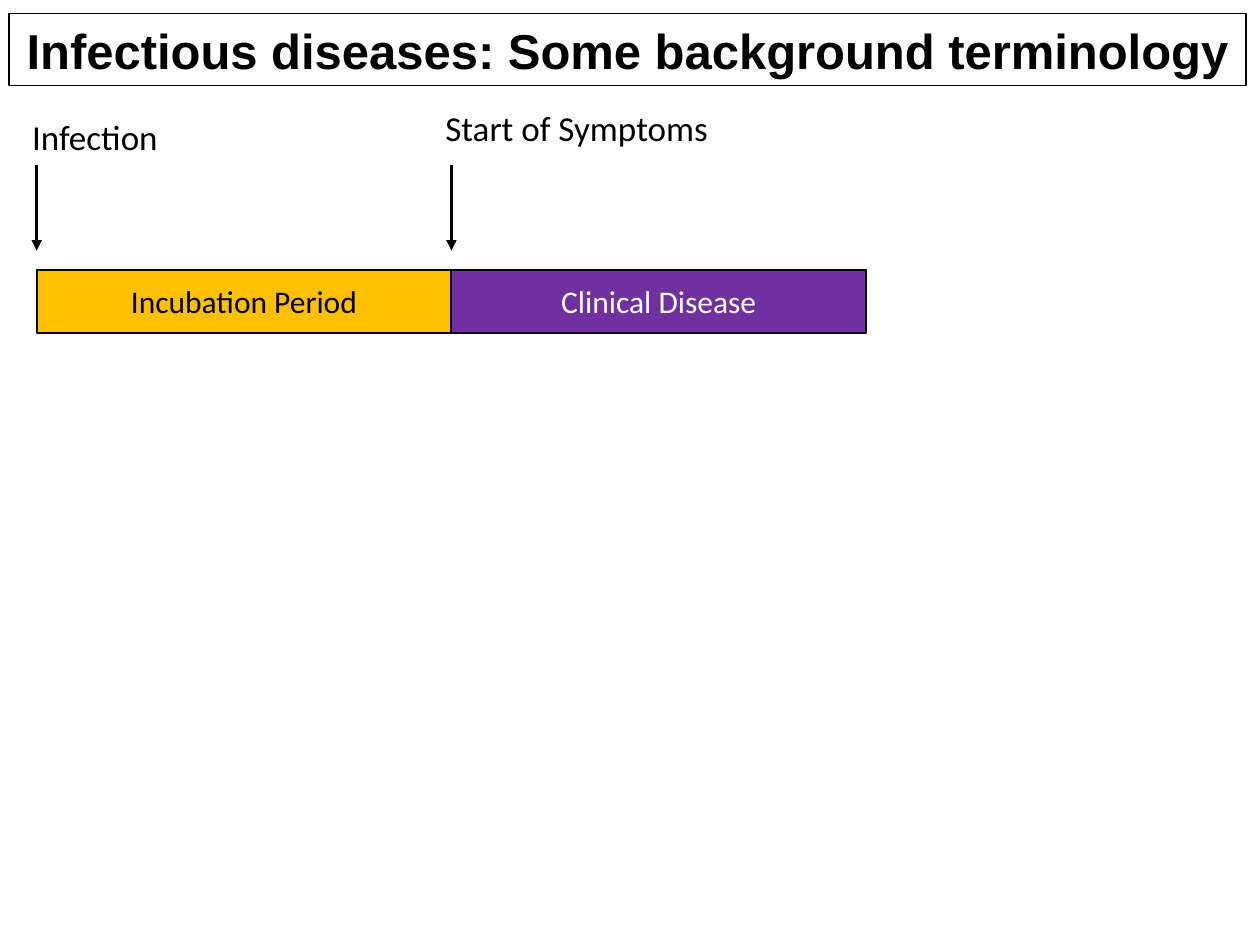
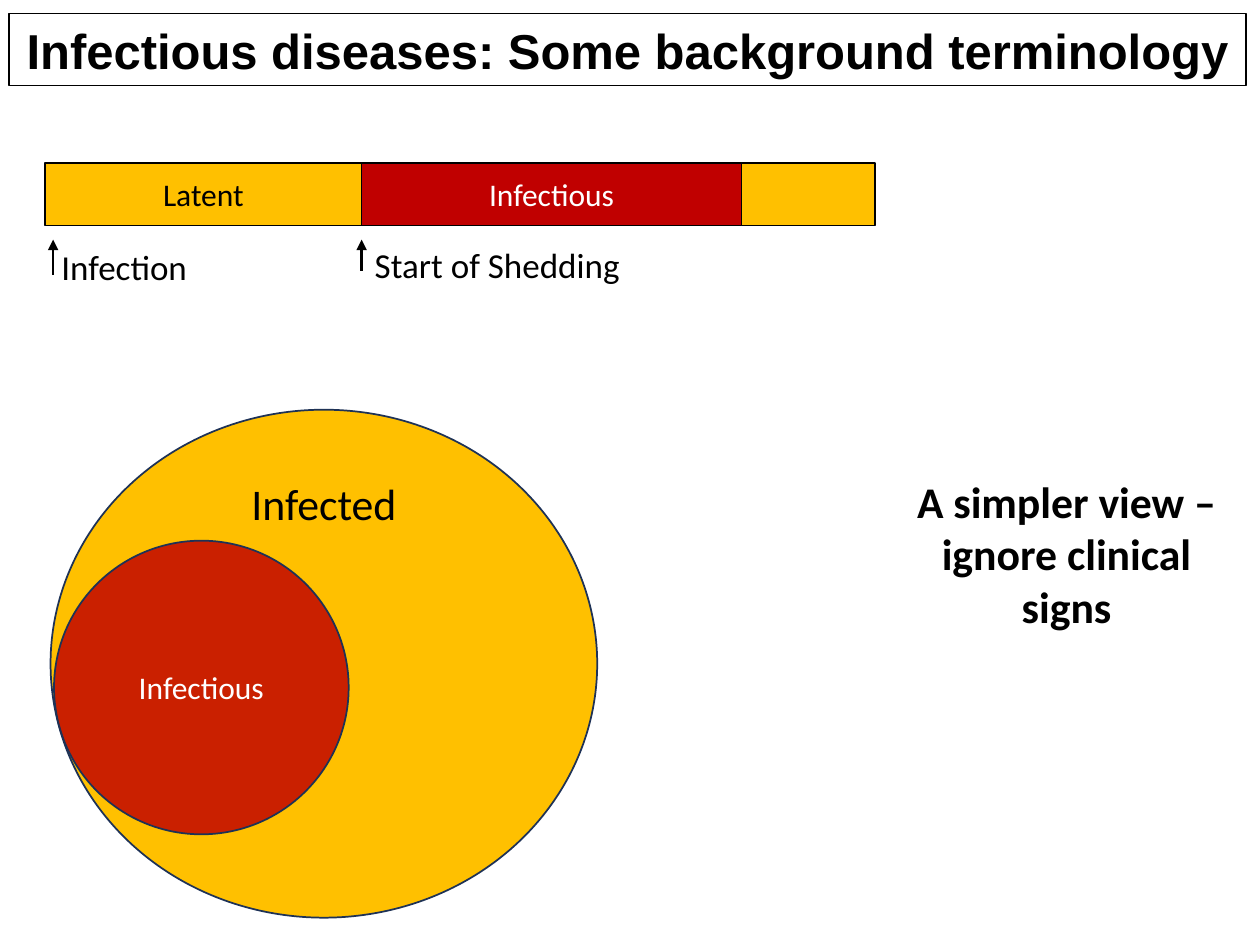
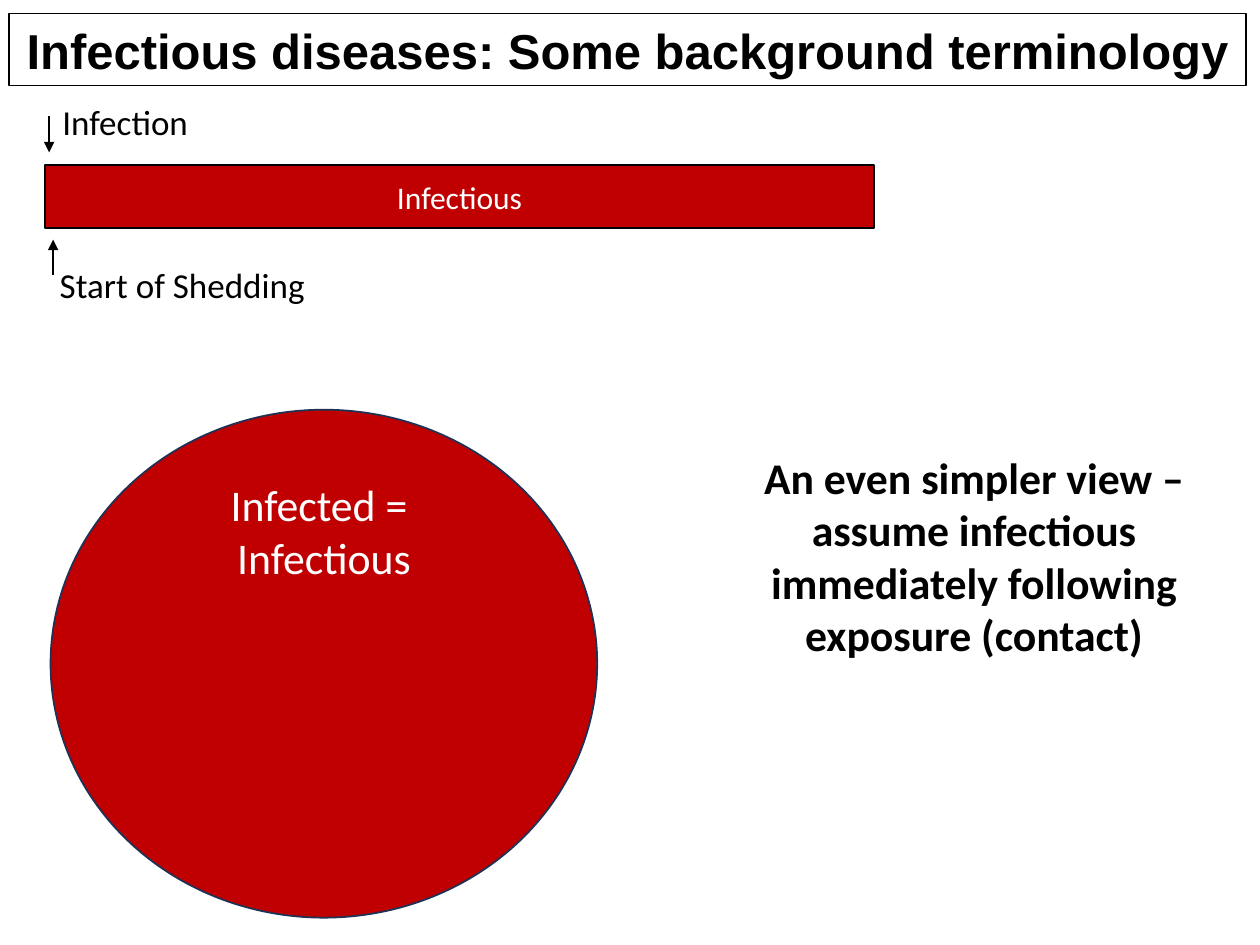
from lxml import etree
from pptx import Presentation
from pptx import util as u
from pptx.dml.color import RGBColor
from pptx.enum import shapes, text
from pptx.oxml.ns import qn

BLACK, WHITE, NAVY = "000000", "FFFFFF", "1E3256"
AMBER, PURPLE, RED = "FFC000", "7030A0", "C00000"
TITLE = "Infectious diseases: Some background terminology"
RECT, OVAL = shapes.MSO_SHAPE.RECTANGLE, shapes.MSO_SHAPE.OVAL
TOP, MIDDLE = text.MSO_ANCHOR.TOP, text.MSO_ANCHOR.MIDDLE
BAR_H = 1.27


def rgb(value):
    return RGBColor.from_string(value)


class Deck:
    """Holds the shared style and the current slide."""

    def __init__(self):
        self.prs = Presentation()
        self.prs.slide_width, self.prs.slide_height = u.Cm(25.4), u.Cm(19.05)

    def slide(self):
        self.s = self.prs.slides.add_slide(self.prs.slide_layouts[6])
        self.shape(RECT, (0.18, 0.28, 24.94, 1.45), None, BLACK, 0.75,
                   TITLE, size=28, name="Arial", bold=True, anchor=TOP)

    def set_text(self, sp, content, size, color=BLACK, name="Calibri",
                 bold=False, anchor=MIDDLE):
        tf = sp.text_frame
        tf.word_wrap, tf.vertical_anchor = True, anchor
        form = {"size": u.Pt(size), "name": name, "bold": bold}
        for i, line in enumerate(content.split("\n")):
            p = tf.add_paragraph() if i else tf.paragraphs[0]
            p.alignment = text.PP_ALIGN.CENTER
            r = p.add_run()
            r.text = line
            for key, value in form.items():
                setattr(r.font, key, value)
            r.font.color.rgb = rgb(color)

    def shape(self, kind, box, fill, line, width, content="", **style):
        sp = self.s.shapes.add_shape(kind, *map(u.Cm, box))
        sp.shadow.inherit = False
        if fill:
            sp.fill.solid()
            sp.fill.fore_color.rgb = rgb(fill)
        else:
            sp.fill.background()
        sp.line.color.rgb = rgb(line)
        sp.line.width = u.Pt(width)
        if content:
            self.set_text(sp, content, **style)
        return sp

    def bars(self, left, top, parts):
        """Lay timeline periods end to end: (width, fill, label, text colour)."""
        for width, fill, label, color in parts:
            self.shape(RECT, (left, top, width, BAR_H), fill, BLACK, 1,
                       label, size=18, color=color)
            left += width

    def circle(self, box, fill, label, size, color, bottom=0.13, opacity=100):
        sp = self.shape(OVAL, box, fill, NAVY, 1, label, size=size, color=color)
        sp.text_frame.margin_bottom = u.Cm(bottom)
        if opacity < 100:
            solid = sp._element.spPr.find(qn("a:solidFill"))
            etree.SubElement(solid[0], qn("a:alpha"), val=str(opacity * 1000))

    def textbox(self, box, content, **style):
        self.set_text(self.s.shapes.add_textbox(*map(u.Cm, box)), content, **style)

    def label(self, left, top, content):
        self.textbox((left, top, 5.97, 1.12), content, size=20, anchor=TOP)

    def note(self, left, top, width, content):
        self.textbox((left, top, width, 1.42), content, size=25, bold=True)

    def arrow(self, x, start, end):
        sp = self.s.shapes.add_connector(shapes.MSO_CONNECTOR.STRAIGHT,
                                         *map(u.Cm, (x, start, x, end)))
        sp.line.color.rgb = rgb(BLACK)
        sp.line.width = u.Pt(1.5)
        props = sp._element.spPr
        etree.SubElement(props.find(qn("a:ln")), qn("a:tailEnd"), type="triangle")
        etree.SubElement(props, qn("a:effectLst"))


def main():
    d = Deck()
    infected = (1.02, 8.26, 11.02, 10.24)

    # Incubation and clinical disease
    d.slide()
    d.bars(0.74, 5.44, [(8.36, AMBER, "Incubation Period", BLACK),
                        (8.36, PURPLE, "Clinical Disease", WHITE)])
    for x in (0.74, 9.1):
        d.arrow(x, 3.33, 5.05)
    d.label(-1.07, 2.21, "Infection")
    d.label(8.64, 2.03, "Start of Symptoms")

    # Latent and infectious
    d.slide()
    d.arrow(7.29, 5.46, 4.83)
    d.label(7.04, 4.78, "Start of Shedding")
    d.circle(infected, AMBER, "Infected", 25, BLACK, bottom=6.6)
    d.circle((1.09, 10.9, 5.94, 5.92), RED, "Infectious", 18, WHITE, opacity=83)
    d.note(17.93, 10.44, 7.14, "A simpler view – ignore clinical signs")
    d.arrow(1.07, 5.54, 4.83)
    d.label(-0.48, 4.83, "Infection")
    d.bars(0.91, 3.28, [(6.38, AMBER, "Latent", BLACK),
                        (7.66, RED, "Infectious", WHITE),
                        (2.69, AMBER, "", BLACK)])

    # Infectious from the start
    d.slide()
    d.circle(infected, RED, "Infected = \nInfectious", 25, WHITE, bottom=5.5)
    d.note(15.04, 10.49, 9.19, "An even simpler view – assume infectious "
           "immediately following exposure (contact)")
    d.arrow(0.99, 2.34, 3.07)
    d.label(0.69, 5.18, "Start of Shedding")
    d.arrow(1.07, 5.54, 4.83)
    d.label(-0.46, 1.91, "Infection")
    d.bars(0.91, 3.33, [(16.71, RED, "Infectious", WHITE)])

    d.prs.save("out.pptx")


if __name__ == "__main__":
    main()
